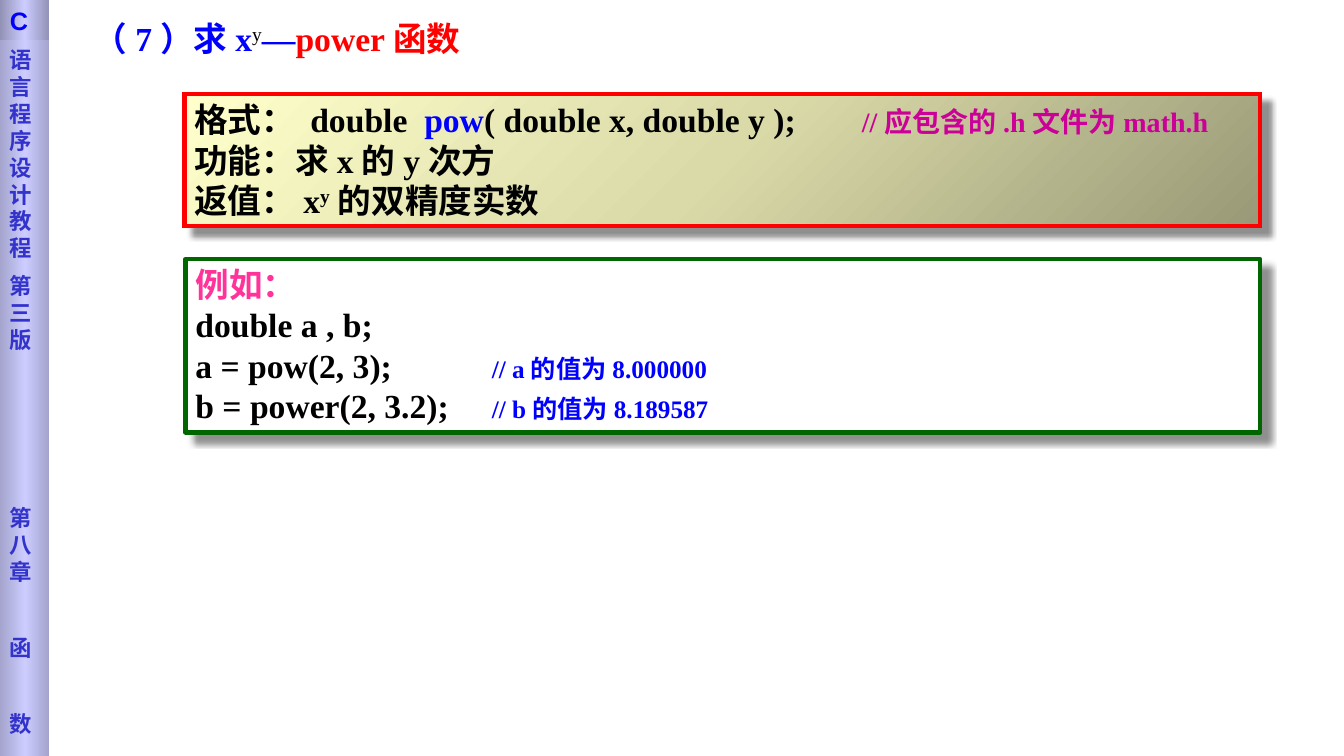
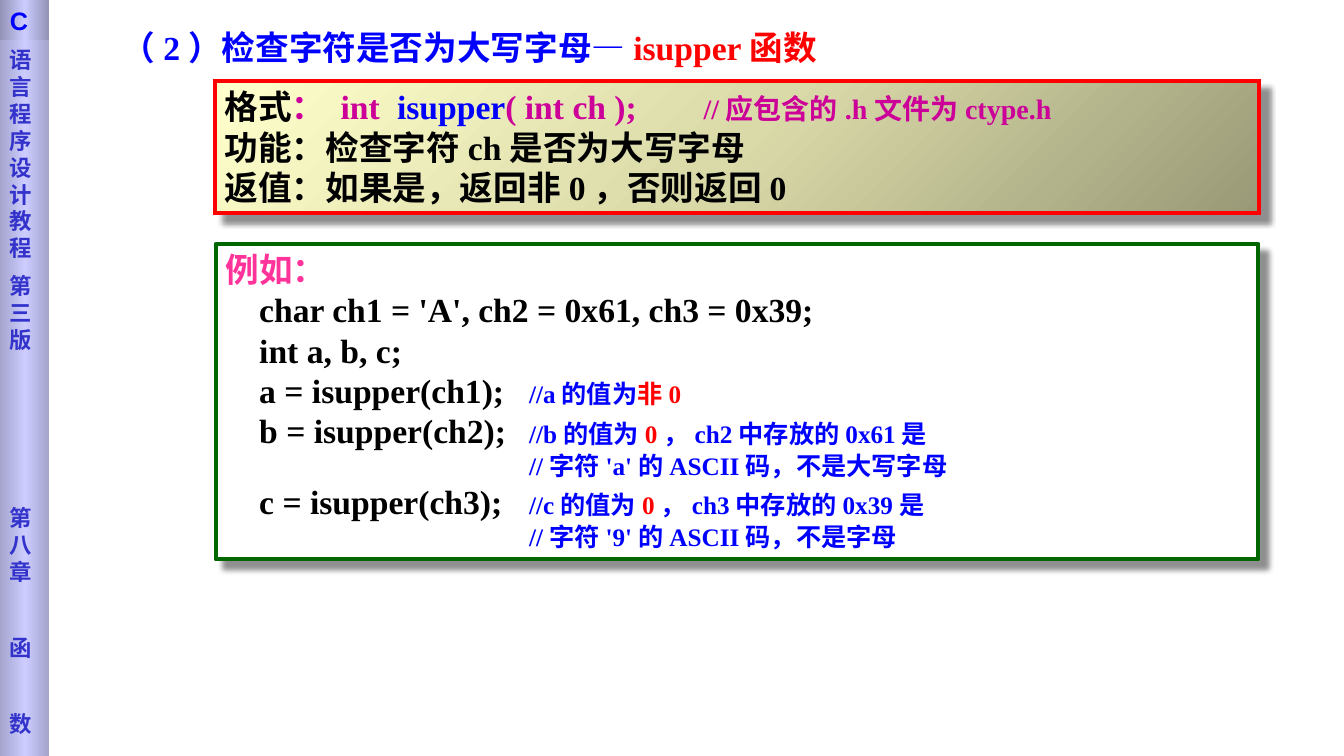
from pptx import Presentation
from pptx.dml.color import RGBColor
from pptx.enum.shapes import MSO_SHAPE
from pptx.enum.text import MSO_ANCHOR, PP_ALIGN
from pptx.oxml import parse_xml
from pptx.oxml.ns import nsdecls, qn
from pptx.util import Inches, Pt

RECT = MSO_SHAPE.RECTANGLE
TOP, MIDDLE = MSO_ANCHOR.TOP, MSO_ANCHOR.MIDDLE
LEFT = PP_ALIGN.LEFT

BLACK = RGBColor(0x00, 0x00, 0x00)
WHITE = RGBColor(0xFF, 0xFF, 0xFF)
BLUE = RGBColor(0x00, 0x00, 0xFF)
RED = RGBColor(0xFF, 0x00, 0x00)
GREEN = RGBColor(0x00, 0x66, 0x00)
PINK = RGBColor(0xFF, 0x33, 0x99)
PLUM = RGBColor(0xCC, 0x00, 0x99)
INDIGO = RGBColor(0x33, 0x33, 0xCC)
LILAC = RGBColor(0xCC, 0xCC, 0xFF)
SLATE = RGBColor(0xA4, 0xA4, 0xCD)
DUSK = RGBColor(0x92, 0x92, 0xB6)
OLIVE = RGBColor(0x99, 0x99, 0x77)
SAND = RGBColor(0xDA, 0xDA, 0xA9)
CREAM = RGBColor(0xFF, 0xFF, 0xCC)

SERIF, SANS, ARIAL = "Times New Roman", "DejaVu Sans", "Arial"
BAND_W = 0.49
BAND_TEXT = [("语言程序设计教程", 0), ("第三版", 8), ("第八章", 108), ("函", 35), ("数", 35)]


def add_run(para, text, color=BLACK, size=24, bold=True, raised=False, font=SERIF):
    """Add one styled run to a paragraph."""
    run = para.add_run()
    run.text = text
    style = run.font
    style.name, style.size, style.bold = font, Pt(size), bold
    style.color.rgb = color
    if raised:
        run._r.get_or_add_rPr().set("baseline", "30000")


def add_tabs(para, stops):
    """Give a paragraph left tab stops, in inches from the text edge."""
    tabs = "".join(f'<a:tab pos="{Inches(stop)}" algn="l"/>' for stop in stops)
    para._p.get_or_add_pPr().append(
        parse_xml(f"<a:tabLst {nsdecls('a')}>{tabs}</a:tabLst>"))


def write(frame, lines, stops=()):
    """Fill a text frame with lines, each a list of runs."""
    for index, line in enumerate(lines):
        para = frame.add_paragraph() if index else frame.paragraphs[0]
        para.alignment = LEFT
        if stops:
            add_tabs(para, stops)
        for run in line:
            add_run(para, *run)


def shade(shape, colors, angle=0):
    """Fill a shape with an evenly spaced linear gradient."""
    shape.fill.gradient()
    shape.fill.gradient_angle = angle
    step = 100000 // (len(colors) - 1)
    stops = "".join(
        f'<a:gs pos="{i * step}"><a:srgbClr val="{color}"/></a:gs>'
        for i, color in enumerate(colors))
    old = shape._element.spPr.find(qn("a:gradFill")).find(qn("a:gsLst"))
    old.getparent().replace(
        old, parse_xml(f"<a:gsLst {nsdecls('a')}>{stops}</a:gsLst>"))


def add_rect(slide, box, anchor):
    """Add a rectangle without shadow that wraps its text."""
    shape = slide.shapes.add_shape(RECT, *map(Inches, box))
    shape.shadow.inherit = False
    shape.text_frame.word_wrap = True
    shape.text_frame.vertical_anchor = anchor
    return shape


def add_band(slide):
    """Draw the book and chapter band at the left edge."""
    band = add_rect(slide, (0, 0, BAND_W, 7.5), TOP)
    shade(band, (SLATE, LILAC, SLATE))
    band.line.fill.background()
    frame = band.text_frame
    frame.margin_top = Inches(0.46)
    write(frame, [[(text, INDIGO, 16, True, False, SANS)] for text, _ in BAND_TEXT])
    for para, (_, gap) in zip(frame.paragraphs, BAND_TEXT):
        para.space_before = Pt(gap)
    head = add_rect(slide, (0, 0, BAND_W, 0.4), MIDDLE)
    shade(head, (DUSK, LILAC, DUSK))
    head.line.fill.background()
    write(head.text_frame, [[("C", BLUE, 18, True, False, ARIAL)]])


def add_title(slide, box, runs):
    """Write the slide title."""
    frame = slide.shapes.add_textbox(*map(Inches, box)).text_frame
    frame.word_wrap = True
    write(frame, [runs])


def add_panel(slide, box, edge, anchor, lines, stops):
    """Add an outlined text panel with a soft drop shadow."""
    panel = add_rect(slide, box, anchor)
    panel.line.color.rgb = edge
    panel.line.width = Pt(3)
    panel._element.spPr.find(qn("a:effectLst")).append(parse_xml(
        f'<a:outerShdw {nsdecls("a")} blurRad="{Pt(4)}" dist="{Pt(8.4)}" '
        'dir="2700000" algn="ctr" rotWithShape="0"><a:srgbClr val="000000">'
        '<a:alpha val="43000"/></a:srgbClr></a:outerShdw>'))
    write(panel.text_frame, lines, stops)
    return panel


def add_format(slide, box, lines, stops):
    """Add the red-edged panel that states the function's format."""
    panel = add_panel(slide, box, RED, MIDDLE, lines, stops)
    shade(panel, (OLIVE, SAND, CREAM), 135)
    panel._element.spPr.find(qn("a:ln")).append(
        parse_xml(f'<a:miter {nsdecls("a")} lim="800000"/>'))


def add_sample(slide, box, lines, stop):
    """Add the green-edged panel that holds the example code."""
    panel = add_panel(slide, box, GREEN, TOP, [[("例如：", PINK)]] + lines, [stop])
    panel.fill.solid()
    panel.fill.fore_color.rgb = WHITE


def note(text, color=BLUE):
    """Return a run for a code comment."""
    return text, color, 18


def add_power(slide):
    """Build the slide on the power function."""
    add_band(slide)
    add_title(slide, (0.83, 0.13, 5.35, 0.5), [
        ("（7）求x", BLUE), ("y", BLACK, 24, False, True),
        ("—", BLUE), ("power函数", RED)])
    add_sample(slide, (1.84, 2.57, 10.66, 1.72), [
        [("double a , b;",)],
        [("a = pow(2, 3);\t",), note("// a的值为8.000000")],
        [("b = power(2, 3.2);\t",), note("// b的值为8.189587")],
    ], 2.94)
    add_format(slide, (1.83, 0.93, 10.67, 1.31), [
        [("格式：\tdouble\t",), ("pow", BLUE), ("( double x, double y );\t",),
         ("//应包含的.h文件为math.h", PLUM, 20)],
        [("功能：求x的y次方",)],
        [("返值：x",), ("y", BLACK, 24, True, True), ("的双精度实数",)],
    ], (1.15, 2.28, 6.62))


def add_upper(slide):
    """Build the slide on the isupper function."""
    add_band(slide)
    add_title(slide, (1.11, 0.22, 7.64, 0.5), [
        ("（2）检查字符是否为大写字母—", BLUE), ("isupper函数", RED)])
    add_format(slide, (2.13, 0.8, 10.36, 1.31), [
        [("格式",), ("：\tint\t", PLUM), ("isupper", BLUE), ("( int ch );\t", PLUM),
         ("//应包含的.h文件为ctype.h", PLUM, 20)],
        [("功能：检查字符ch是否为大写字母",)],
        [("返值：如果是，返回非0，否则返回0",)],
    ], (1.15, 1.71, 4.75))
    add_sample(slide, (2.14, 2.42, 10.34, 3.13), [
        [("    char ch1 = 'A', ch2 = 0x61, ch3 = 0x39;",)],
        [("    int a, b, c;",)],
        [("    a = isupper(ch1);\t",), note("//a的值为"), note("非0", RED)],
        [("    b = isupper(ch2);\t",), note("//b的值为"), note("0", RED),
         note("，ch2中存放的0x61是")],
        [note("\t//字符'a'的ASCII码，不是大写字母")],
        [("    c = isupper(ch3);\t",), note("//c的值为"), note("0", RED),
         note("，ch3中存放的0x39是")],
        [note("\t//字符'9'的ASCII码，不是字母")],
    ], 3.01)


def main():
    """Build and save the presentation."""
    deck = Presentation()
    deck.slide_width, deck.slide_height = Inches(13.33), Inches(7.5)
    blank = deck.slide_layouts[6]
    for build in (add_power, add_upper):
        build(deck.slides.add_slide(blank))
    deck.save("out.pptx")


if __name__ == "__main__":
    main()
